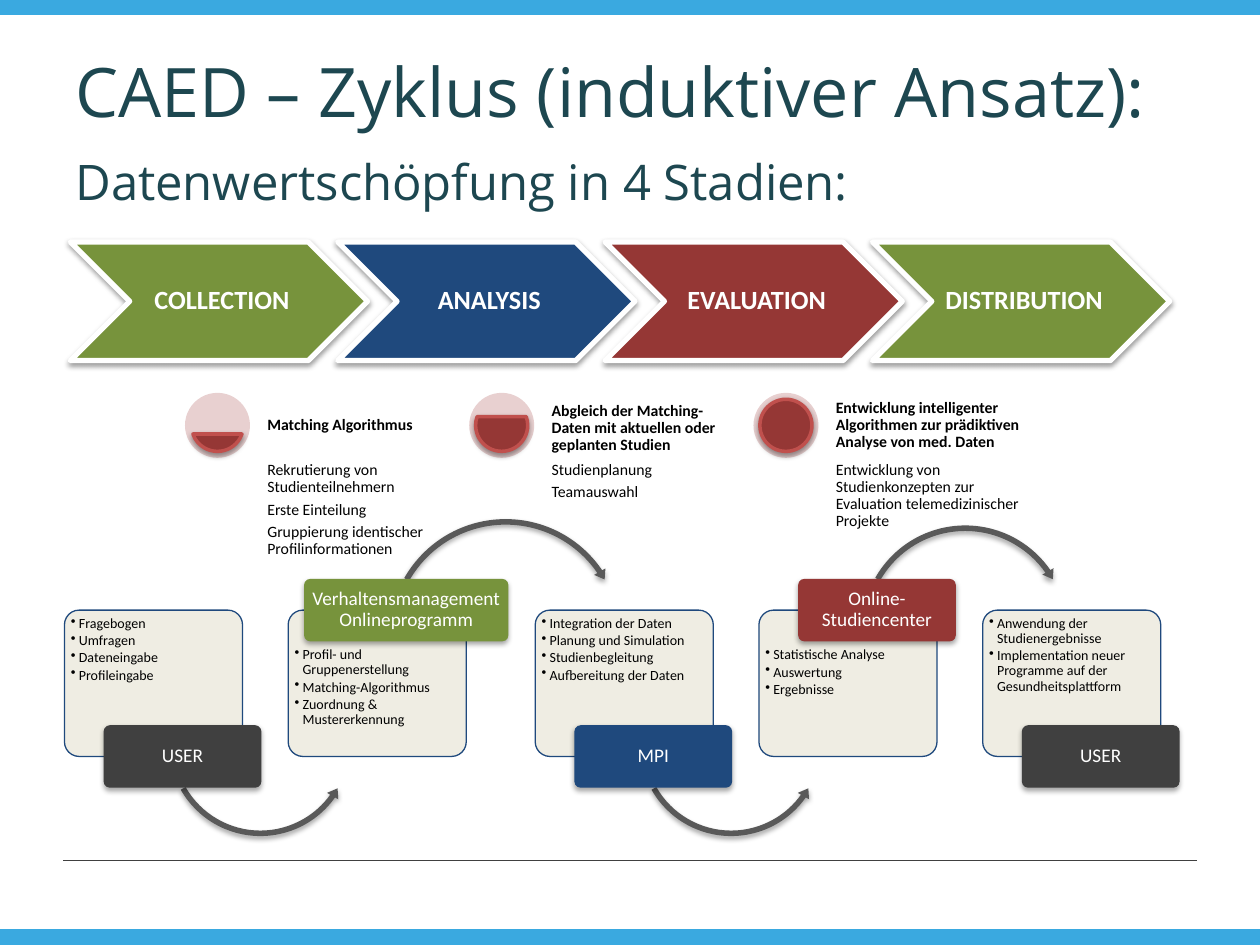
from lxml.etree import SubElement
from pptx import Presentation
from pptx.dml.color import RGBColor
from pptx.enum.shapes import MSO_CONNECTOR, MSO_SHAPE
from pptx.enum.text import MSO_ANCHOR, PP_ALIGN
from pptx.oxml.ns import qn
from pptx.util import Cm, Pt

COLORS = {
    "bar": "3AA9E0", "title": "1D4750", "green": "77933C", "blue": "1F497D",
    "red": "953735", "dark": "404040", "arrow": "595959", "card": "EEECE1",
    "disc": "E8D0D0", "rim": "C0504D", "white": "FFFFFF", "black": "000000",
}
STAGES = [("COLLECTION", "green"), ("ANALYSIS", "blue"),
          ("EVALUATION", "red"), ("DISTRIBUTION", "green")]
LEVELS = [
    ((11.683, 96.317), MSO_ANCHOR.MIDDLE, "Matching Algorithmus",
     ["Rekrutierung von Studienteilnehmern", "Erste Einteilung",
      "Gruppierung identischer Profilinformationen"]),
    ((204.317, 119.683), MSO_ANCHOR.BOTTOM,
     "Abgleich der Matching-Daten mit aktuellen oder geplanten Studien",
     ["Studienplanung", "Teamauswahl"]),
    ((162, 162), MSO_ANCHOR.MIDDLE,
     "Entwicklung intelligenter Algorithmen zur prädiktiven Analyse von med. Daten",
     ["Entwicklung von Studienkonzepten zur Evaluation telemedizinischer Projekte"]),
]
LOWER_ARROW = (MSO_SHAPE.LEFT_CIRCULAR_ARROW, 2.03, 0.79, 3.84,
               (0.029, 3.535, 21.29, 90.245, 0.034))
WIDE_ARROW = (MSO_SHAPE.CIRCULAR_ARROW, 1.96, -1.91, 4.85,
              (0.023, 2.768, 195.477, 125.755, 0.027))
NARROW_ARROW = (MSO_SHAPE.CIRCULAR_ARROW, 2.0, -1.78, 4.32,
                (0.026, 3.136, 195.109, 125.755, 0.03))
CARDS = [
    (1.3, "USER", "dark", 3.18, False, LOWER_ARROW,
     ["Fragebogen", "Umfragen", "Dateneingabe", "Profileingabe"]),
    (5.81, "Verhaltensmanagement Onlineprogramm", "green", 4.12, True, WIDE_ARROW,
     ["Profil- und Gruppenerstellung", "Matching-Algorithmus",
      "Zuordnung & Mustererkennung"]),
    (10.79, "MPI", "blue", 3.18, False, LOWER_ARROW,
     ["Integration der Daten", "Planung und Simulation", "Studienbegleitung",
      "Aufbereitung der Daten"]),
    (15.3, "Online-Studiencenter", "red", 3.18, True, NARROW_ARROW,
     ["Statistische Analyse", "Auswertung", "Ergebnisse"]),
    (19.81, "USER", "dark", 3.18, False, None,
     ["Anwendung der Studienergebnisse",
      "Implementation neuer Programme auf der Gesundheitsplattform"]),
]


def color(name):
    """Return the named palette colour."""
    return RGBColor.from_string(COLORS[name])


def add_shape(slide, kind, box, fill, line=None, width=0, adjustments=(),
              shadow=None, opacity=None):
    """Add a preset shape in a box given in centimetres."""
    shape = slide.shapes.add_shape(kind, *map(Cm, box))
    shape.shadow.inherit = False
    shape.fill.solid()
    shape.fill.fore_color.rgb = color(fill)
    if line:
        shape.line.color.rgb = color(line)
        shape.line.width = Pt(width)
    else:
        shape.line.fill.background()
    for index, value in enumerate(adjustments):
        shape.adjustments[index] = value
    properties = shape._element.spPr
    if opacity:
        fill_color = properties.find(qn("a:solidFill"))[0]
        SubElement(fill_color, qn("a:alpha"), val=str(opacity * 1000))
    if shadow:
        distance, alpha = shadow
        outer = SubElement(properties.find(qn("a:effectLst")), qn("a:outerShdw"),
                           blurRad=str(Pt(3.1)), dist=str(Pt(distance)),
                           dir="5400000", rotWithShape="0")
        black = SubElement(outer, qn("a:srgbClr"), val=COLORS["black"])
        SubElement(black, qn("a:alpha"), val=str(alpha * 1000))
    return shape


def add_text(slide, box, lines, size, fill="black", anchor=MSO_ANCHOR.TOP,
             align=PP_ALIGN.LEFT, bold=False, font="Calibri", margins=(0.06,) * 4,
             spacing=0.9, after=0.35, bullet=False):
    """Add a wrapped text box with one paragraph for each line."""
    frame = slide.shapes.add_textbox(*map(Cm, box)).text_frame
    left, top, right, bottom = map(Cm, margins)
    frame_format = {"word_wrap": True, "vertical_anchor": anchor, "margin_left": left,
                    "margin_top": top, "margin_right": right, "margin_bottom": bottom}
    for name, value in frame_format.items():
        setattr(frame, name, value)
    paragraph_format = {"alignment": align, "line_spacing": spacing,
                        "space_after": Pt(round(size * after, 2))}
    font_format = {"name": font, "size": Pt(size), "bold": bold}
    for index, line in enumerate(lines):
        paragraph = frame.add_paragraph() if index else frame.paragraphs[0]
        for name, value in paragraph_format.items():
            setattr(paragraph, name, value)
        run = paragraph.add_run()
        run.text = line
        for name, value in font_format.items():
            setattr(run.font, name, value)
        run.font.color.rgb = color(fill)
        if bullet:
            properties = paragraph._p.get_or_add_pPr()
            properties.set("marL", str(Cm(0.16)))
            properties.set("indent", str(Cm(-0.16)))
            SubElement(properties, qn("a:buChar"), char="•")


def add_frame(slide, width, height):
    """Draw the bars at both edges and the footer rule."""
    for top in (0, height - 0.3):
        add_shape(slide, MSO_SHAPE.RECTANGLE, (0, top, width, 0.3), "bar", "bar", 0.75)
    ends = (1.27, 17.34, width - 1.27, 17.34)
    rule = slide.shapes.add_connector(MSO_CONNECTOR.STRAIGHT, *map(Cm, ends))
    rule.line.color.rgb = color("dark")
    rule.line.width = Pt(0.25)
    SubElement(rule._element.spPr, qn("a:effectLst"))


def add_heading(slide, left, top):
    """Write the title and the subtitle."""
    for text, size, offset, width in (
            ("CAED – Zyklus (induktiver Ansatz):", 39, 0, 22.86),
            ("Datenwertschöpfung in 4 Stadien:", 28, 1.83, 24)):
        add_text(slide, (left, top + offset, width, 2.1), [text], size, "title",
                 MSO_ANCHOR.MIDDLE, font="Open Sans", spacing=1.0, after=0,
                 margins=(0.25, 0.13, 0.25, 0.13))


def add_stage(slide, left, top, label, fill):
    """Draw one chevron with its label."""
    add_shape(slide, MSO_SHAPE.CHEVRON, (left, top, 5.99, 2.39), fill, "white", 3,
              shadow=(1.6, 38))
    add_text(slide, (left + 1.2, top, 3.59, 2.39), [label], 15, "white",
             MSO_ANCHOR.MIDDLE, PP_ALIGN.CENTER, True, margins=(0.18, 0.06, 0.06, 0.06))


def add_level(slide, left, top, angles, anchor, heading, lines):
    """Draw one filling disc with its heading and lines."""
    add_shape(slide, MSO_SHAPE.OVAL, (left, top, 1.31, 1.31), "disc")
    add_shape(slide, MSO_SHAPE.CHORD, (left + 0.13, top + 0.13, 1.05, 1.05), "red",
              "rim", 2, angles, (1.6, 38))
    margins = (0.08,) * 4
    add_text(slide, (left + 1.58, top + 1.31, 3.89, 5.51), lines, 9, margins=margins)
    add_text(slide, (left + 1.58, top, 3.89, 1.31), [heading], 9, anchor=anchor,
             bold=True, margins=margins)


def add_card(slide, left, top, label, fill, label_width, label_above, arrow, lines):
    """Draw one card with bullets, its label and the arrow to the next card."""
    add_shape(slide, MSO_SHAPE.ROUNDED_RECTANGLE, (left, top, 3.59, 2.95), "card",
              "blue", 0.75, (0.1,), opacity=90)
    text_top = top + (0.7 if label_above else 0.07)
    add_text(slide, (left + 0.07, text_top, 3.45, 2.18), lines, 8, after=0.15,
             bullet=True)
    if arrow:
        kind, across, down, size, adjustments = arrow
        add_shape(slide, kind, (left + across, top + down, size, size), "arrow",
                  adjustments=adjustments, shadow=(1.8, 35))
    label_left = left + 2.38 - label_width / 2
    label_top = top + (-0.63 if label_above else 2.32)
    add_shape(slide, MSO_SHAPE.ROUNDED_RECTANGLE,
              (label_left, label_top, label_width, 1.26), fill, adjustments=(0.1,),
              shadow=(1.8, 35))
    add_text(slide, (label_left + 0.04, label_top + 0.04, label_width - 0.08, 1.18),
             [label], 11, "white", MSO_ANCHOR.MIDDLE, PP_ALIGN.CENTER)


def main():
    """Build the slide and save it."""
    presentation = Presentation()
    presentation.slide_width, presentation.slide_height = Cm(25.4), Cm(19.05)
    slide = presentation.slides.add_slide(presentation.slide_layouts[6])
    add_frame(slide, 25.4, 19.05)
    for index, stage in enumerate(STAGES):
        add_stage(slide, 1.42 + index * 5.39, 4.88, *stage)
    for left, *card in CARDS:
        add_card(slide, left, 12.3, *card)
    add_heading(slide, 1.27, 0.76)
    for index, level in enumerate(LEVELS):
        add_level(slide, 3.73 + index * 5.73, 7.92, *level)
    presentation.save("out.pptx")


if __name__ == "__main__":
    main()
